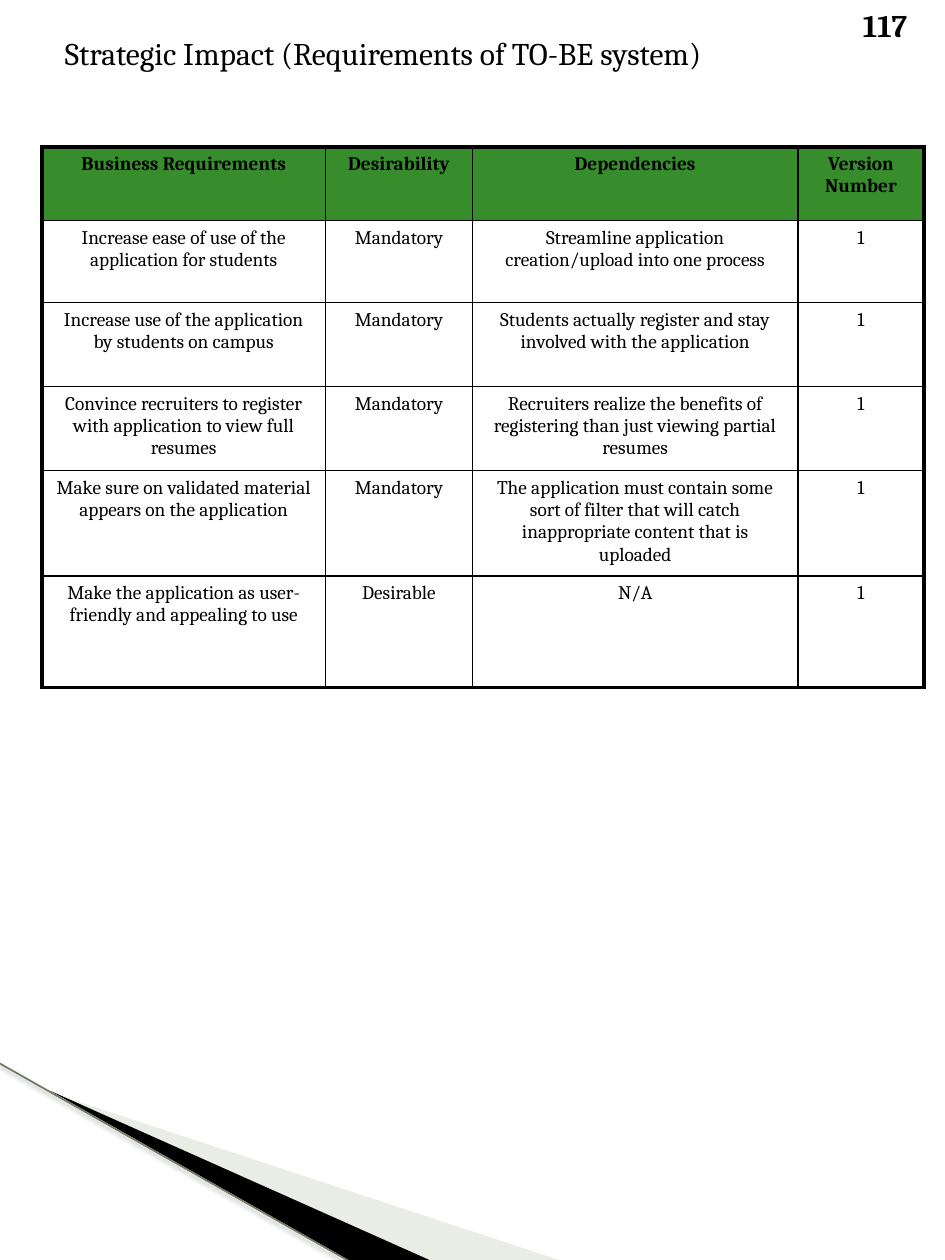
from lxml.etree import SubElement
from pptx import Presentation
from pptx.dml.color import RGBColor
from pptx.enum.shapes import MSO_CONNECTOR
from pptx.enum.text import PP_ALIGN
from pptx.oxml import parse_xml
from pptx.oxml.ns import nsdecls, qn
from pptx.util import Pt

FONT = "Cambria"
BLACK = RGBColor(0x00, 0x00, 0x00)
HEADER_GREEN = RGBColor(0x37, 0x8D, 0x2B)
PALE_GREEN = RGBColor(0xCB, 0xD4, 0xC0)
OLIVE = RGBColor(0x6E, 0x7A, 0x61)

THIN, THICK = Pt(0.96), Pt(2.21)
COLUMN_WIDTHS = [162, 84, 186, 72]
ROW_HEIGHTS = [42, 47, 48, 48, 60, 64]
REQUIREMENTS = [
    ("Business Requirements", "Desirability", "Dependencies", "Version Number"),
    ("Increase ease of use of the application for students", "Mandatory",
     "Streamline application creation/upload into one process", "1"),
    ("Increase use of the application by students on campus", "Mandatory",
     "Students actually register and stay involved with the application", "1"),
    ("Convince recruiters to register with application to view full resumes", "Mandatory",
     "Recruiters realize the benefits of registering than just viewing partial resumes", "1"),
    ("Make sure on validated material appears on the application", "Mandatory",
     "The application must contain some sort of filter that will catch "
     "inappropriate content that is uploaded", "1"),
    ("Make the application as user-friendly and appealing to use", "Desirable", "N/A", "1"),
]


def write_text(text_frame, text, size=18, bold=False, align=PP_ALIGN.LEFT):
    text_frame.word_wrap = True
    paragraph = text_frame.paragraphs[0]
    paragraph.alignment = align
    run = paragraph.add_run()
    run.text = text
    run.font.name = FONT
    run.font.size = Pt(size)
    run.font.bold = bold
    run.font.color.rgb = BLACK


def add_text(slide, text, left, top, width, height, **text_format):
    box = slide.shapes.add_textbox(Pt(left), Pt(top), Pt(width), Pt(height))
    write_text(box.text_frame, text, **text_format)


def add_wedge(slide, points, color, opacity=100):
    """Draw a closed, unlined polygon through points; opacity is in percent."""
    start, *others = [(Pt(x), Pt(y)) for x, y in points]
    builder = slide.shapes.build_freeform(*start)
    builder.add_line_segments(others, close=True)
    shape = builder.convert_to_shape()
    shape.shadow.inherit = False
    shape.fill.solid()
    shape.fill.fore_color.rgb = color
    shape.line.fill.background()
    if opacity < 100:
        color_element = shape._element.spPr.find(qn("a:solidFill"))[0]
        SubElement(color_element, qn("a:alpha"), val=str(opacity * 1000))


def add_shadowed_line(slide, start, end):
    points = [Pt(value) for value in (*start, *end)]
    connector = slide.shapes.add_connector(MSO_CONNECTOR.STRAIGHT, *points)
    connector.line.color.rgb = OLIVE
    connector.line.width = THIN
    connector._element.spPr.append(parse_xml(
        f'<a:effectLst {nsdecls("a")}>'
        f'<a:outerShdw blurRad="{Pt(3.1)}" dist="{Pt(1.6)}" dir="5400000">'
        f'<a:srgbClr val="{BLACK}"><a:alpha val="38000"/></a:srgbClr>'
        "</a:outerShdw></a:effectLst>"))


def set_borders(cell, widths):
    """Set border widths in the order left, right, top, bottom."""
    properties = cell._tc.get_or_add_tcPr()
    for index, (side, width) in enumerate(zip("LRTB", widths)):
        properties.insert(index, parse_xml(
            f'<a:ln{side} {nsdecls("a")} w="{width}"><a:solidFill>'
            f'<a:srgbClr val="{BLACK}"/></a:solidFill></a:ln{side}>'))


def add_requirements_table(slide, left, top):
    last_row, last_column = len(ROW_HEIGHTS) - 1, len(COLUMN_WIDTHS) - 1
    table = slide.shapes.add_table(
        len(ROW_HEIGHTS), len(COLUMN_WIDTHS), Pt(left), Pt(top),
        Pt(sum(COLUMN_WIDTHS)), Pt(sum(ROW_HEIGHTS))).table
    table.horz_banding = False
    for column, width in zip(table.columns, COLUMN_WIDTHS):
        column.width = Pt(width)
    for row, height in zip(table.rows, ROW_HEIGHTS):
        row.height = Pt(height)
    for row_index, texts in enumerate(REQUIREMENTS):
        is_header = row_index == 0
        for column_index, text in enumerate(texts):
            cell = table.cell(row_index, column_index)
            write_text(cell.text_frame, text, size=11, bold=is_header, align=PP_ALIGN.CENTER)
            if is_header:
                cell.fill.solid()
                cell.fill.fore_color.rgb = HEADER_GREEN
            else:
                cell.fill.background()
            outer_sides = (column_index == 0, column_index == last_column,
                           is_header, row_index == last_row)
            set_borders(cell, [THICK if outer else THIN for outer in outer_sides])


def main():
    presentation = Presentation()
    presentation.slide_width, presentation.slide_height = Pt(540), Pt(720)
    slide = presentation.slides.add_slide(presentation.slide_layouts[6])

    add_wedge(slide, [(29.5, 624.5), (321, 720.5), (246.5, 720.5)], PALE_GREEN, opacity=40)
    add_wedge(slide, [(29, 623.5), (246.5, 720.5), (201, 721)], BLACK)
    add_shadowed_line(slide, (-0.5, 607.5), (201, 721.5))

    add_text(slide, "Strategic Impact (Requirements of TO-BE system)", 30, 16, 456, 50)
    add_requirements_table(slide, 24, 84)
    add_text(slide, "117", 486, 0, 59, 29, bold=True)
    presentation.save("out.pptx")


if __name__ == "__main__":
    main()
